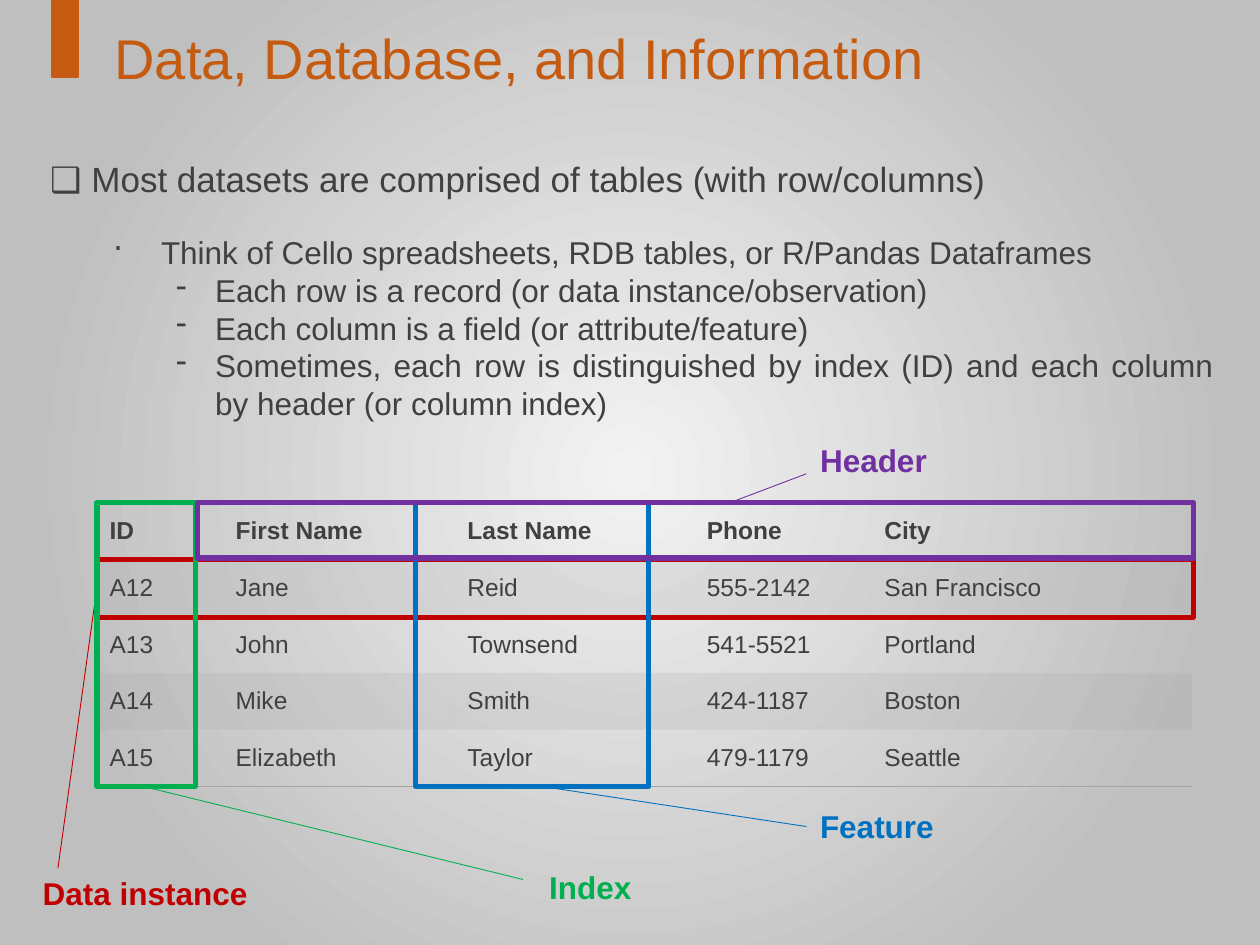
from dataclasses import dataclass

import lxml.etree
import pptx
import pptx.dml.color
import pptx.enum.shapes
import pptx.enum.text
import pptx.oxml
import pptx.oxml.ns
import pptx.util

Inches = pptx.util.Inches
Pt = pptx.util.Pt
qn = pptx.oxml.ns.qn

COLORS = {
    "accent": "C55A11",
    "text": "404040",
    "grid": "A5A5A5",
    "instance": "C00000",
    "feature": "0070C0",
    "index": "00B050",
    "header": "7030A0",
}
FONT = "Arial"
BACKGROUND = """
<a:gradFill rotWithShape="1" xmlns:a="http://schemas.openxmlformats.org/drawingml/2006/main">
  <a:gsLst>
    <a:gs pos="0"><a:srgbClr val="F2F2F2"/></a:gs>
    <a:gs pos="77000"><a:srgbClr val="BFBFBF"><a:alpha val="70000"/></a:srgbClr></a:gs>
    <a:gs pos="100000"><a:srgbClr val="BFBFBF"><a:alpha val="70000"/></a:srgbClr></a:gs>
  </a:gsLst>
  <a:path path="circle"><a:fillToRect l="50000" t="50000" r="50000" b="50000"/></a:path>
</a:gradFill>"""

# Table geometry
TABLE_LEFT, TABLE_TOP, ROW_HEIGHT = 0.77, 3.99, 0.45
COLUMN_WIDTHS = (1, 1.84, 1.9, 1.41, 2.54)
ROWS = (
    ("ID", "First Name", "Last Name", "Phone", "City"),
    ("A12", "Jane", "Reid", "555-2142", "San Francisco"),
    ("A13", "John", "Townsend", "541-5521", "Portland"),
    ("A14", "Mike", "Smith", "424-1187", "Boston"),
    ("A15", "Elizabeth", "Taylor", "479-1179", "Seattle"),
)
TABLE_HEIGHT = ROW_HEIGHT * len(ROWS)


@dataclass
class TextLine:
    text: str
    level: int = 0
    margin: float = 0
    indent: float = 0
    bullet: str = ""


@dataclass
class Callout:
    label: str
    color: str
    frame: tuple[float, float, float, float]
    line_start: tuple[float, float]
    line_end: tuple[float, float]
    label_at: tuple[float, float]


BULLETS = [
    TextLine("Think of Cello spreadsheets, RDB tables, or R/Pandas Dataframes", 1, 0.88, -0.38, "·"),
] + [
    TextLine(text, 2, 1.31, -0.31, "-")
    for text in (
        "Each row is a record (or data instance/observation)",
        "Each column is a field (or attribute/feature)",
        "Sometimes, each row is distinguished by index (ID) and each column "
        "by header (or column index)",
    )
]
CALLOUTS = (
    Callout("Data instance", "instance", (TABLE_LEFT, 4.44, 8.7, 0.46),
            (0.77, 4.66), (0.46, 6.89), (-0.26, 6.89)),
    Callout("Feature", "feature", (3.3, TABLE_TOP, 1.85, TABLE_HEIGHT),
            (4.29, 6.24), (6.4, 6.56), (5.91, 6.36)),
    Callout("Index", "index", (TABLE_LEFT, TABLE_TOP, 0.78, TABLE_HEIGHT),
            (1.13, 6.24), (4.15, 6.98), (3.76, 6.84)),
    Callout("Header", "header", (1.57, TABLE_TOP, 7.9, 0.44),
            (5.82, 3.98), (6.4, 3.76), (5.91, 3.45)),
)


def rgb(name: str) -> pptx.dml.color.RGBColor:
    return pptx.dml.color.RGBColor.from_string(COLORS[name])


def style_font(paragraph, size: float, color: str, bold: bool = False) -> None:
    font = paragraph.font
    font.name, font.size, font.bold = FONT, Pt(size), bold
    font.color.rgb = rgb(color)


def add_text(slide, box: tuple, lines: list[TextLine], size: float, color: str,
             bold: bool = False, wrap: bool = True) -> None:
    frame = slide.shapes.add_textbox(*map(Inches, box)).text_frame
    frame.word_wrap = wrap
    frame.auto_size = pptx.enum.text.MSO_AUTO_SIZE.SHAPE_TO_FIT_TEXT
    for number, line in enumerate(lines):
        paragraph = frame.add_paragraph() if number else frame.paragraphs[0]
        paragraph.text = line.text
        paragraph.level = line.level
        if wrap:
            paragraph.alignment = pptx.enum.text.PP_ALIGN.JUSTIFY
        style_font(paragraph, size, color, bold)
        properties = paragraph._p.get_or_add_pPr()
        properties.set("marL", str(Inches(line.margin)))
        properties.set("indent", str(Inches(line.indent)))
        if line.bullet:
            bullet = pptx.oxml.parse_xml(
                '<a:buChar xmlns:a="http://schemas.openxmlformats.org/drawingml/2006/main" '
                f'char="{line.bullet}"/>')
            properties.find(qn("a:defRPr")).addprevious(bullet)


def add_rectangle(slide, box: tuple, color: str, width: float, filled: bool = False) -> None:
    shape = slide.shapes.add_shape(
        pptx.enum.shapes.MSO_SHAPE.RECTANGLE, *map(Inches, box))
    shape.shadow.inherit = False
    if filled:
        shape.fill.solid()
        shape.fill.fore_color.rgb = rgb(color)
    else:
        shape.fill.background()
    shape.line.color.rgb = rgb(color)
    shape.line.width = Pt(width)


def add_line(slide, start: tuple, end: tuple, color: str) -> None:
    line = slide.shapes.add_connector(
        pptx.enum.shapes.MSO_CONNECTOR.STRAIGHT, *map(Inches, start + end))
    line.line.color.rgb = rgb(color)
    line.line.width = Pt(0.5)
    lxml.etree.SubElement(line._element.spPr, qn("a:effectLst"))


def add_border(cell, side: str) -> None:
    border = pptx.oxml.parse_xml(
        f'<a:{side} xmlns:a="http://schemas.openxmlformats.org/drawingml/2006/main" w="12700">'
        f'<a:solidFill><a:srgbClr val="{COLORS["grid"]}"/></a:solidFill></a:{side}>')
    properties = cell._tc.get_or_add_tcPr()
    fill = next(child for child in properties if child.tag.endswith("Fill"))
    fill.addprevious(border)


def add_people_table(slide) -> None:
    table = slide.shapes.add_table(
        len(ROWS), len(COLUMN_WIDTHS), Inches(TABLE_LEFT), Inches(TABLE_TOP),
        Inches(sum(COLUMN_WIDTHS)), Inches(TABLE_HEIGHT)).table
    # The "No Style, No Grid" table style
    table._tbl.tblPr.find(qn("a:tableStyleId")).text = "{2D5ABB26-0587-4C30-8999-92F81FD0307C}"
    table.horz_banding = False
    for column, width in zip(table.columns, COLUMN_WIDTHS):
        column.width = Inches(width)
    for row_number, values in enumerate(ROWS):
        table.rows[row_number].height = Inches(ROW_HEIGHT)
        for column_number, value in enumerate(values):
            cell = table.cell(row_number, column_number)
            cell.text = value
            cell.vertical_anchor = pptx.enum.text.MSO_ANCHOR.MIDDLE
            style_font(cell.text_frame.paragraphs[0], 14, "text", row_number == 0)
            if row_number % 2:
                cell.fill.solid()
                cell.fill.fore_color.rgb = rgb("grid")
                color = cell._tc.tcPr.find(".//" + qn("a:srgbClr"))
                lxml.etree.SubElement(color, qn("a:alpha")).set("val", "20000")
            else:
                cell.fill.background()
            if row_number == 0:
                add_border(cell, "lnT")
            if row_number in (0, len(ROWS) - 1):
                add_border(cell, "lnB")


def main() -> None:
    presentation = pptx.Presentation()
    presentation.slide_width, presentation.slide_height = Inches(10), Inches(7.5)
    slide = presentation.slides.add_slide(presentation.slide_layouts[6])

    # Radial background
    slide.background.fill.gradient()
    gradient = slide._element.find(".//" + qn("a:gradFill"))
    gradient.getparent().replace(gradient, pptx.oxml.parse_xml(BACKGROUND))

    # Title and accent bar
    add_text(slide, (0.81, 0.14, 6.68, 0.64),
             [TextLine("Data, Database, and Information")], 32, "accent", wrap=False)
    add_rectangle(slide, (0.41, -0.01, 0.21, 0.62), "accent", 1, filled=True)

    # Statement and bullets
    add_text(slide, (0.3, 1.2, 9.43, 0.44),
             [TextLine("❑ Most datasets are comprised of tables (with row/columns)")], 20, "text")
    add_text(slide, (0.3, 1.8, 9.43, 1.62), BULLETS, 18, "text")

    # Table with its marked parts
    add_people_table(slide)
    for callout in CALLOUTS:
        add_rectangle(slide, callout.frame, callout.color, 3)
        add_line(slide, callout.line_start, callout.line_end, callout.color)
        add_text(slide, callout.label_at + (2.55, 0.4),
                 [TextLine(callout.label, 1, 0.5)], 18, callout.color, bold=True)

    presentation.save("out.pptx")


if __name__ == "__main__":
    main()
